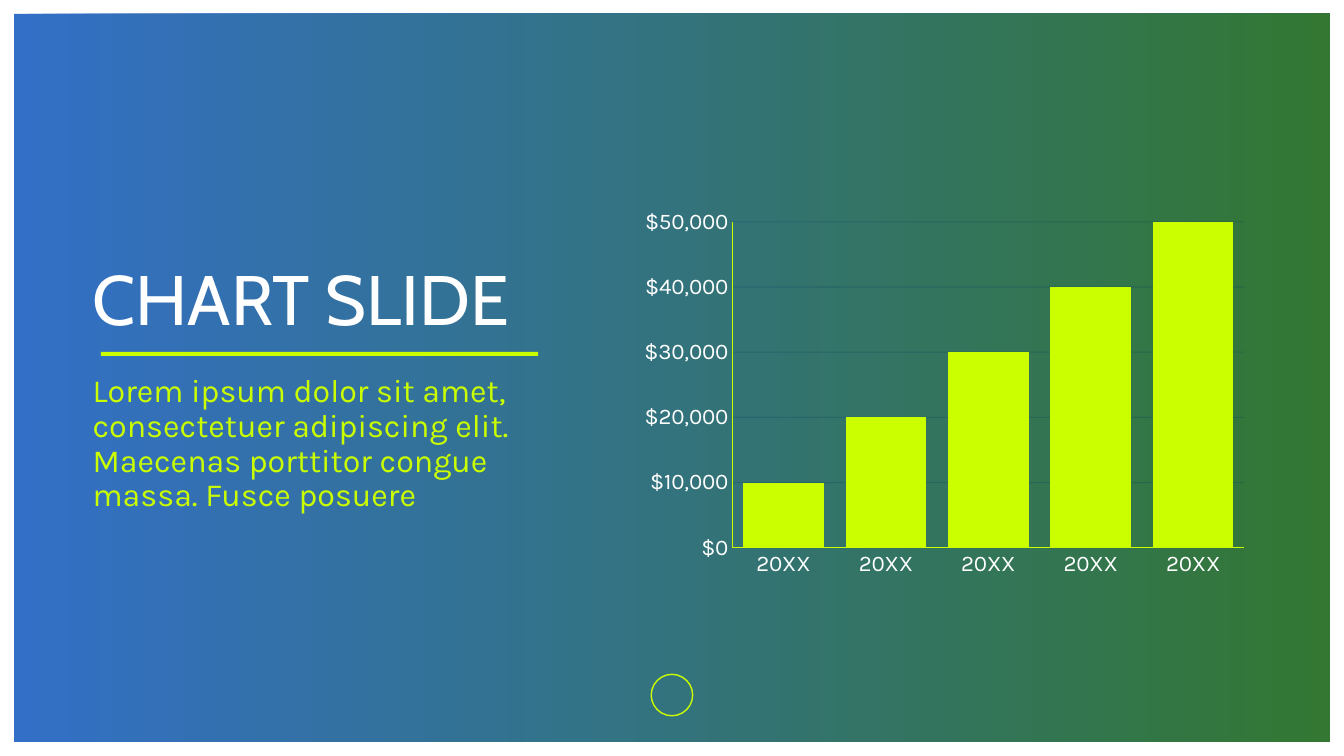
import pptx
import pptx.chart.data
import pptx.dml.color
import pptx.enum.chart
import pptx.enum.shapes
import pptx.enum.text
import pptx.oxml
import pptx.oxml.ns
import pptx.util

Pt = pptx.util.Pt
SHAPES = pptx.enum.shapes.MSO_SHAPE
ANCHOR = pptx.enum.text.MSO_ANCHOR

TITLE = "CHART SLIDE"
BODY = ("Lorem ipsum dolor sit amet, consectetuer adipiscing elit. "
        "Maecenas porttitor congue massa. Fusce posuere")
CATEGORIES = ["20XX"] * 5
VALUES = [10000, 20000, 30000, 40000, 50000]
VALUE_FORMAT = "[$$-409]#,##0"

LIME, WHITE, GRID = "CBFF00", "FFFFFF", "002E62"
GRADIENT = ["004CB9", "005500"]
PANEL_ALPHA, GRID_ALPHA = 80, 20

SLIDE_WIDTH, SLIDE_HEIGHT = 960, 540
MARGIN = 10
TEXT_LEFT, TEXT_WIDTH = 66.2, 343.4
RING_TOP, RING_SIZE = 481.7, 29.6
CHART_BOX = (451.4, 144, 446.4, 273.6)


def paint(color_format, color):
    color_format.rgb = pptx.dml.color.RGBColor.from_string(color)


def set_alpha(fill_element, percent):
    """Make every colour inside a fill element partly transparent."""
    for color in fill_element.iter(pptx.oxml.ns.qn("a:srgbClr")):
        alpha = pptx.oxml.parse_xml(
            f'<a:alpha {pptx.oxml.ns.nsdecls("a")} val="{percent * 1000}"/>')
        color.append(alpha)


def add_plain_shape(slide, kind, left, top, width, height):
    shape = slide.shapes.add_shape(kind, Pt(left), Pt(top), Pt(width), Pt(height))
    shape.shadow.inherit = False
    shape.fill.background()
    shape.line.fill.background()
    return shape


def add_text(slide, text, top, height, anchor, font_name, size, color):
    box = slide.shapes.add_textbox(Pt(TEXT_LEFT), Pt(top), Pt(TEXT_WIDTH), Pt(height))
    frame = box.text_frame
    frame.word_wrap = True
    frame.vertical_anchor = anchor
    frame.margin_left = frame.margin_right = 0
    frame.text = text
    paragraph = frame.paragraphs[0]
    paragraph.line_spacing = 0.9
    font = paragraph.runs[0].font
    font.name, font.size = font_name, Pt(size)
    paint(font.color, color)


def add_background(slide):
    panel = add_plain_shape(slide, SHAPES.RECTANGLE, MARGIN, MARGIN,
                            SLIDE_WIDTH - 2 * MARGIN, SLIDE_HEIGHT - 2 * MARGIN)
    panel.fill.gradient()
    panel.fill.gradient_angle = 0
    for stop, color, position in zip(panel.fill.gradient_stops, GRADIENT, (0, 1)):
        paint(stop.color, color)
        stop.position = position
    set_alpha(panel.element.spPr.find(pptx.oxml.ns.qn("a:gradFill")), PANEL_ALPHA)

    ring = add_plain_shape(slide, SHAPES.OVAL, (SLIDE_WIDTH - RING_SIZE) / 2,
                           RING_TOP, RING_SIZE, RING_SIZE)
    paint_line(ring.line, LIME, 1)

    rule = add_plain_shape(slide, SHAPES.RECTANGLE, 72, 251.3, 312.5, 2.9)
    rule.fill.solid()
    paint(rule.fill.fore_color, LIME)


def paint_line(line, color, width):
    line.fill.solid()
    paint(line.fill.fore_color, color)
    line.width = Pt(width)


def add_column_chart(slide):
    data = pptx.chart.data.CategoryChartData(number_format=VALUE_FORMAT)
    data.categories = CATEGORIES
    data.add_series("Series 1", VALUES)
    chart = slide.shapes.add_chart(
        pptx.enum.chart.XL_CHART_TYPE.COLUMN_CLUSTERED,
        *map(Pt, CHART_BOX), data).chart
    chart.has_legend = False
    chart.has_title = False
    chart.font.name, chart.font.size = "Karla", Pt(10)

    plot = chart.plots[0]
    plot.vary_by_categories = False
    plot.gap_width, plot.overlap = 27, 5
    fill = plot.series[0].format.fill
    fill.solid()
    paint(fill.fore_color, LIME)

    for axis in (chart.category_axis, chart.value_axis):
        axis.major_tick_mark = pptx.enum.chart.XL_TICK_MARK.NONE
        axis.minor_tick_mark = pptx.enum.chart.XL_TICK_MARK.NONE
        font = axis.tick_labels.font
        font.name, font.size = "Karla", Pt(16)
        paint(font.color, WHITE)
        paint_line(axis.format.line, LIME, 1)

    value_axis = chart.value_axis
    value_axis.minimum_scale, value_axis.maximum_scale = 0, 50000
    value_axis.major_unit = 10000
    value_axis.tick_labels.number_format = VALUE_FORMAT
    value_axis.tick_labels.number_format_is_linked = False
    value_axis.has_major_gridlines = True
    paint_line(value_axis.major_gridlines.format.line, GRID, 0.75)
    gridlines = chart.element.find(".//" + pptx.oxml.ns.qn("c:majorGridlines"))
    set_alpha(gridlines, GRID_ALPHA)


def main():
    presentation = pptx.Presentation()
    presentation.slide_width = Pt(SLIDE_WIDTH)
    presentation.slide_height = Pt(SLIDE_HEIGHT)
    slide = presentation.slides.add_slide(presentation.slide_layouts[6])
    add_background(slide)
    add_text(slide, TITLE, 164.2, 104.4, ANCHOR.MIDDLE, "Cabin", 50, WHITE)
    add_text(slide, BODY, 264.2, 177.1, ANCHOR.TOP, "Karla", 23, LIME)
    add_column_chart(slide)
    presentation.save("out.pptx")


if __name__ == "__main__":
    main()
